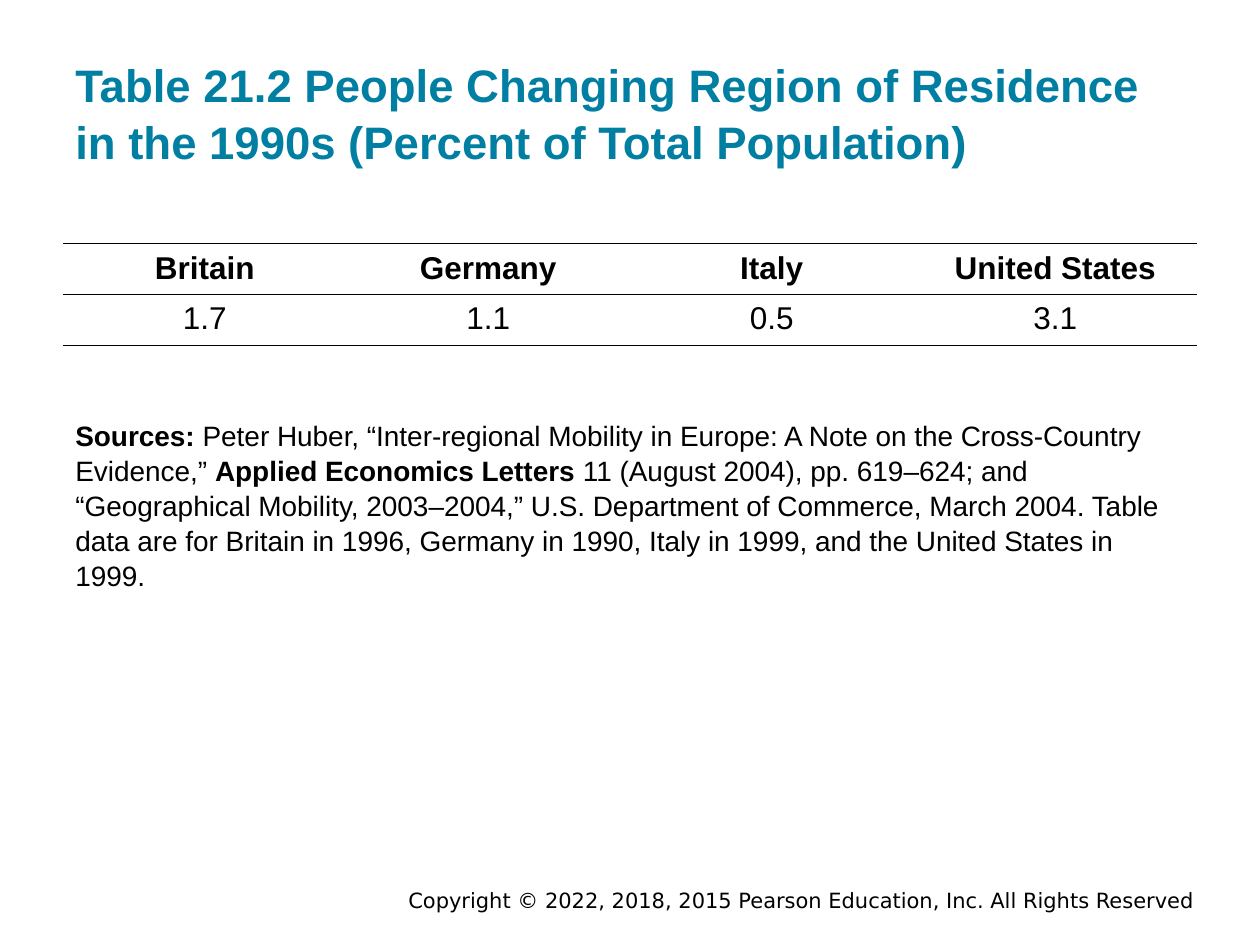
from lxml.etree import SubElement
from pptx import Presentation
from pptx.dml.color import RGBColor
from pptx.enum.text import MSO_ANCHOR as Anchor, PP_ALIGN as Align
from pptx.oxml.ns import qn
from pptx.util import Pt


def color(hex_text):
    return RGBColor.from_string(hex_text)


class SlideWriter:
    font = "Arial"
    ink = "000000"
    accent = "007FA3"

    def __init__(self, slide):
        self.slide = slide

    def style(self, span, size, bold=False, ink=None, font=None):
        span.font.name = font or self.font
        span.font.size = Pt(size)
        span.font.bold = bold
        span.font.color.rgb = color(ink or self.ink)

    def text(self, frame, spans, size, anchor=Anchor.TOP, align=Align.LEFT,
             inset=7.2, spacing=None, **look):
        """Spans are (wording, bold) pairs of one paragraph."""
        left, top, width, height = (Pt(value) for value in frame)
        box = self.slide.shapes.add_textbox(left, top, width, height)
        text_frame = box.text_frame
        text_frame.word_wrap = True
        text_frame.vertical_anchor = anchor
        text_frame.margin_left = text_frame.margin_right = Pt(7.2)
        text_frame.margin_top = text_frame.margin_bottom = Pt(inset)
        para = text_frame.paragraphs[0]
        para.alignment = align
        if spacing:
            para.line_spacing = spacing
        for wording, bold in spans:
            span = para.add_run()
            span.text = wording
            self.style(span, size, bold, **look)

    def rule_cell(self, cell, width=1):
        """Lines above and below the cell, none at its sides."""
        properties = cell._tc.get_or_add_tcPr()
        for side in ("L", "R", "T", "B"):
            line = SubElement(properties, qn(f"a:ln{side}"), w=str(Pt(width)))
            if side in "LR":
                SubElement(line, qn("a:noFill"))
            else:
                fill = SubElement(line, qn("a:solidFill"))
                SubElement(fill, qn("a:srgbClr"), val=self.ink)

    def table(self, frame, rows, size):
        left, top, width, height = (Pt(value) for value in frame)
        table = self.slide.shapes.add_table(
            len(rows), len(rows[0]), left, top, width, height).table
        table.horz_banding = False
        for row_index, row in enumerate(rows):
            is_header = row_index == 0
            for column_index, wording in enumerate(row):
                cell = table.cell(row_index, column_index)
                cell.text = wording
                cell.vertical_anchor = Anchor.MIDDLE if is_header else Anchor.TOP
                para = cell.text_frame.paragraphs[0]
                para.alignment = Align.CENTER
                self.style(para.runs[0], size, bold=is_header)
                self.rule_cell(cell)
                cell.fill.background()


def main():
    deck = Presentation()
    deck.slide_width, deck.slide_height = Pt(720), Pt(540)
    page = SlideWriter(deck.slides.add_slide(deck.slide_layouts[6]))

    # Copyright line
    page.text((126, 506.2, 563.8, 15.8),
              [("Copyright © 2022, 2018, 2015 Pearson Education, Inc. "
                "All Rights Reserved", False)],
              12, Anchor.MIDDLE, Align.RIGHT, inset=3.6, font="DejaVu Sans")

    # Title
    page.text((36, 17.3, 648, 86.4),
              [("Table 21.2 People Changing Region of Residence in the 1990s "
                "(Percent of Total Population)", True)],
              26, Anchor.BOTTOM, spacing=1.05, ink=page.accent)

    # Mobility table
    page.table((36, 139, 648, 58.4),
               [("Britain", "Germany", "Italy", "United States"),
                ("1.7", "1.1", "0.5", "3.1")], 18)

    # Sources
    page.text((36, 231.1, 648, 107.3), [
        ("Sources: ", True),
        ("Peter Huber, “Inter-regional Mobility in Europe: A Note on the "
         "Cross-Country Evidence,” ", False),
        ("Applied Economics Letters ", True),
        ("11 (August 2004), pp. 619–624; and “Geographical Mobility, "
         "2003–2004,” U.S. Department of Commerce, March 2004. Table data are "
         "for Britain in 1996, Germany in 1990, Italy in 1999, and the United "
         "States in 1999.", False),
    ], 16, spacing=1.04)

    deck.save("out.pptx")


if __name__ == "__main__":
    main()
